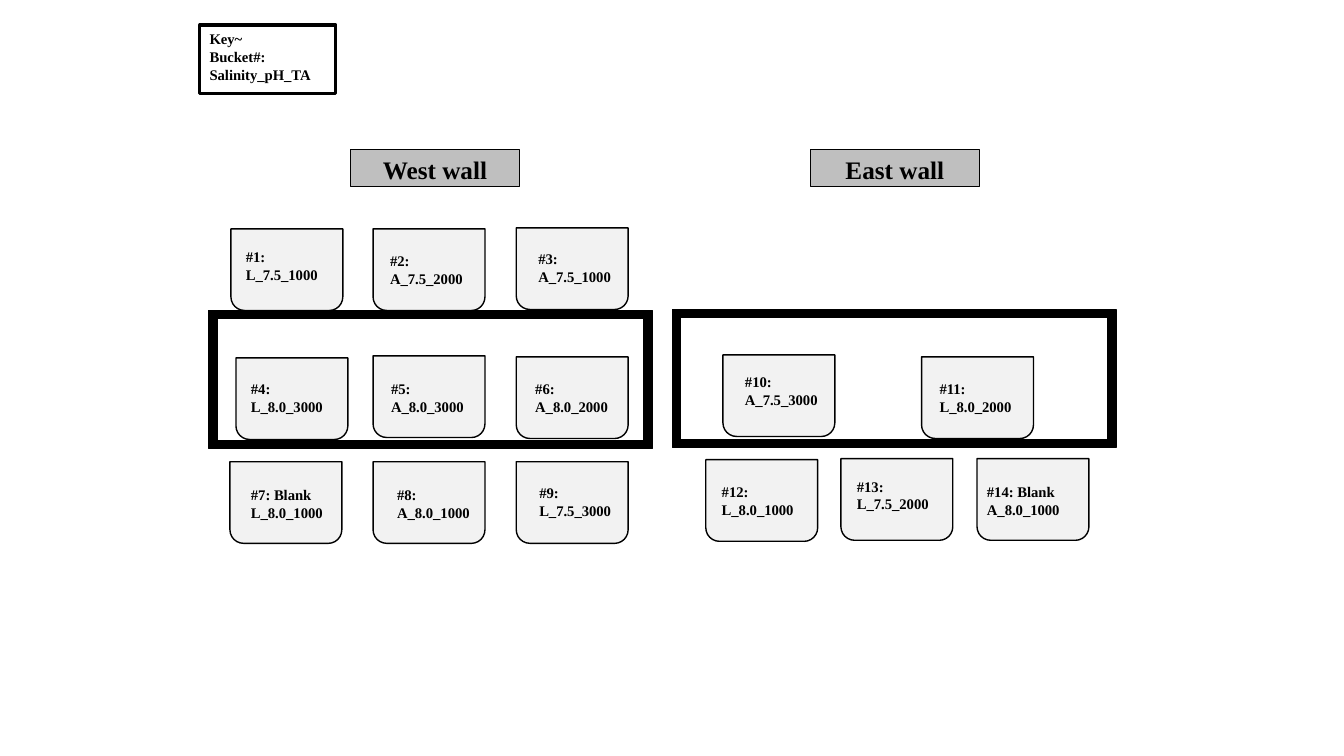
from dataclasses import dataclass

import pptx
import pptx.dml.color
import pptx.enum.shapes
import pptx.enum.text
import pptx.util

SHAPES = pptx.enum.shapes.MSO_SHAPE
ALIGN = pptx.enum.text.PP_ALIGN
CELL = 0.1  # inches in one grid column or row


@dataclass(frozen=True)
class Theme:
    font: str = "Times New Roman"
    ink: str = "000000"
    bucket: str = "F2F2F2"
    heading: str = "BFBFBF"
    heading_size: float = 18
    label_size: float = 10.5
    heading_line: float = 0.5
    line: float = 1
    key_line: float = 2.5


@dataclass(frozen=True)
class Box:
    """Left, top, width and height in grid cells."""
    left: float
    top: float
    width: float
    height: float

    def inside(self, column, row, width, height):
        return Box(self.left + column, self.top + row, width, height)

    def lengths(self):
        cells = (self.left, self.top, self.width, self.height)
        return [pptx.util.Inches(round(cell * CELL, 2)) for cell in cells]


@dataclass(frozen=True)
class Bucket:
    """Bucket place on its wall, and label place on the bucket."""
    text: str
    column: float
    row: float
    label_column: float
    label_row: float


THEME = Theme()
KEY_BOX = Box(19.8, 2.5, 13.5, 6.8)
WEST_BOX = Box(20.7, 14.8, 44, 39.1)
EAST_BOX = Box(66.7, 14.8, 44, 39.1)
BUCKET_SIZE = (11.1, 8.1)
LABEL_SIZE = (9.8, 4.3)
HEADING_SIZE = (16.7, 3.7)
SHELF_HEIGHT = 13.7

WEST_BUCKETS = [
    Bucket("#1: L_7.5_1000", 2.2, 7.9, 0.5, 1.4),
    Bucket("#2:\nA_7.5_2000", 16.3, 7.9, 0.7, 1.8),
    Bucket("#3:\nA_7.5_1000", 30.5, 7.8, 1.2, 1.7),
    Bucket("#4:\nL_8.0_3000", 2.7, 20.7, 0.5, 1.7),
    Bucket("#5:\nA_8.0_3000", 16.3, 20.5, 0.8, 1.9),
    Bucket("#6:\nA_8.0_2000", 30.5, 20.6, 0.9, 1.8),
    Bucket("#7: Blank\nL_8.0_1000", 2.1, 31, 1.1, 1.9),
    Bucket("#8:\nA_8.0_1000", 16.3, 31, 1.4, 1.9),
    Bucket("#9:\nL_7.5_3000", 30.5, 31, 1.3, 1.7),
]
EAST_BUCKETS = [
    Bucket("#10:\nA_7.5_3000", 5, 20.4, 1.2, 1.3),
    Bucket("#11:\nL_8.0_2000", 24.7, 20.6, 0.8, 1.8),
    Bucket("#12:\nL_8.0_1000", 3.3, 30.8, 0.6, 1.8),
    Bucket("#13:\nL_7.5_2000", 16.7, 30.7, 0.6, 1.4),
    Bucket("#14: Blank\nA_8.0_1000", 30.2, 30.7, 0, 1.9),
]


def color(value):
    return pptx.dml.color.RGBColor.from_string(value)


def add_outlined(slide, kind, box, fill, line_width):
    shape = slide.shapes.add_shape(kind, *box.lengths())
    shape.shadow.inherit = False
    if fill is None:
        shape.fill.background()
    else:
        shape.fill.solid()
        shape.fill.fore_color.rgb = color(fill)
    shape.line.color.rgb = color(THEME.ink)
    shape.line.width = pptx.util.Pt(line_width)
    return shape


def write(shape, text, size, alignment=ALIGN.LEFT):
    frame = shape.text_frame
    frame.word_wrap = True
    frame.vertical_anchor = pptx.enum.text.MSO_ANCHOR.TOP
    frame.text = text
    for paragraph in frame.paragraphs:
        paragraph.alignment = alignment
        for run in paragraph.runs:
            run.font.name = THEME.font
            run.font.size = pptx.util.Pt(size)
            run.font.bold = True
            run.font.color.rgb = color(THEME.ink)


def add_key(slide, box):
    shape = add_outlined(slide, SHAPES.RECTANGLE, box, None, THEME.key_line)
    write(shape, "Key~\nBucket#: Salinity_pH_TA", THEME.label_size)


def add_wall(slide, box, title, title_column, shelf_row, buckets):
    """Heading, shelf frame and labelled buckets of one wall."""
    places = [box.inside(bucket.column, bucket.row, *BUCKET_SIZE) for bucket in buckets]
    for place in places:
        shape = add_outlined(slide, SHAPES.ROUND_2_SAME_RECTANGLE, place,
                             THEME.bucket, THEME.line)
        shape.rotation = 180

    shelf_box = box.inside(0, shelf_row, box.width, SHELF_HEIGHT)
    shelf = add_outlined(slide, SHAPES.FRAME, shelf_box, THEME.ink, THEME.line)
    shelf.adjustments[0] = 0.06

    heading = add_outlined(slide, SHAPES.RECTANGLE, box.inside(title_column, 0, *HEADING_SIZE),
                           THEME.heading, THEME.heading_line)
    write(heading, title, THEME.heading_size, ALIGN.CENTER)

    for bucket, place in zip(buckets, places):
        label_box = place.inside(bucket.label_column, bucket.label_row, *LABEL_SIZE)
        label = slide.shapes.add_textbox(*label_box.lengths())
        write(label, bucket.text, THEME.label_size)


def main():
    presentation = pptx.Presentation()
    presentation.slide_width = pptx.util.Inches(13.33)
    presentation.slide_height = pptx.util.Inches(7.5)
    slide = presentation.slides.add_slide(presentation.slide_layouts[6])
    add_wall(slide, WEST_BOX, "West wall", 14.1, 16, WEST_BUCKETS)
    add_wall(slide, EAST_BOX, "East wall", 13.7, 15.9, EAST_BUCKETS)
    add_key(slide, KEY_BOX)
    presentation.save("out.pptx")


if __name__ == "__main__":
    main()
